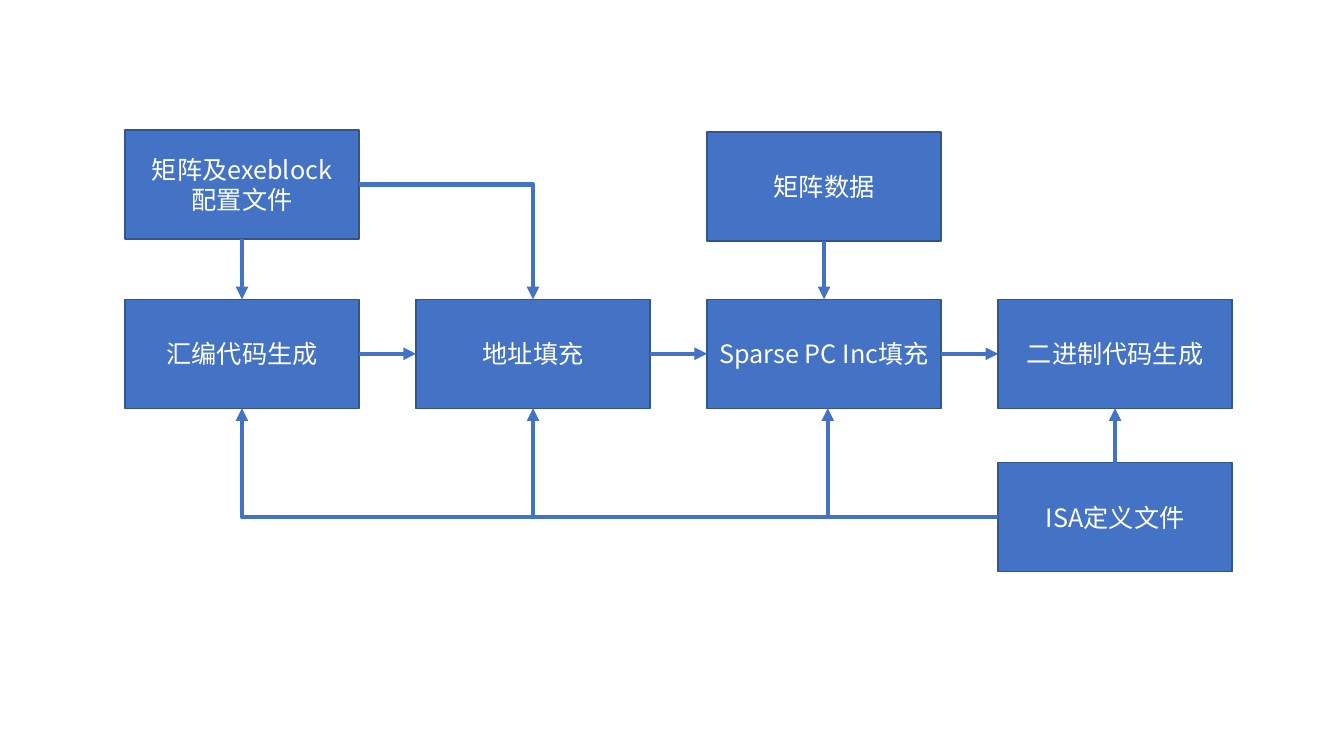
"""Builds the flow diagram of the code generation steps."""
from lxml import etree
from pptx import Presentation
from pptx import util as u
from pptx.dml.color import RGBColor
from pptx.enum import shapes, text
from pptx.oxml.ns import qn

COLOURS = {"box": "4472C4", "border": "325491", "text": "FFFFFF"}
FONT = "Noto Sans CJK SC"
WIDTH, HEIGHT = 2.32, 1.08
FIRST_LEFT, LAST_LEFT = 1.24, 9.9
PITCH = (LAST_LEFT - FIRST_LEFT) / 3
STEP_TOP, CONFIG_TOP, DATA_TOP, ISA_TOP = 2.97, 1.29, 1.31, 4.59
STEP_MIDDLE, STEP_BOTTOM = STEP_TOP + HEIGHT / 2, STEP_TOP + HEIGHT
ISA_MIDDLE = ISA_TOP + HEIGHT / 2
SPARSE_ISA_X = 8.21

BOXES = [
    (0, STEP_TOP, ["汇编代码生成"]),
    (1, STEP_TOP, ["地址填充"]),
    (2, STEP_TOP, ["Sparse PC Inc填充"]),
    (3, STEP_TOP, ["二进制代码生成"]),
    (0, CONFIG_TOP, ["矩阵及exeblock", "配置文件"]),
    (2, DATA_TOP, ["矩阵数据"]),
    (3, ISA_TOP, ["ISA定义文件"]),
]


def left(column):
    return FIRST_LEFT + column * PITCH


def right(column):
    return left(column) + WIDTH


def center(column):
    return left(column) + WIDTH / 2


STRAIGHT_ARROWS = [
    *[((right(i), STEP_MIDDLE), (left(i + 1), STEP_MIDDLE)) for i in range(3)],
    ((center(0), CONFIG_TOP + HEIGHT), (center(0), STEP_TOP)),
    ((center(2), DATA_TOP + HEIGHT), (center(2), STEP_TOP)),
    ((center(3), ISA_TOP), (center(3), STEP_BOTTOM)),
    ((center(1), ISA_MIDDLE), (center(1), STEP_BOTTOM)),
    ((SPARSE_ISA_X, ISA_MIDDLE), (SPARSE_ISA_X, STEP_BOTTOM)),
]
BENT_ARROWS = [
    ((right(0), CONFIG_TOP + HEIGHT / 2), (center(1), STEP_TOP)),
    ((left(3), ISA_MIDDLE), (center(0), STEP_BOTTOM)),
]


def colour(name):
    return RGBColor.from_string(COLOURS[name])


def add_box(slide, column, top, lines):
    shape = slide.shapes.add_shape(
        shapes.MSO_SHAPE.RECTANGLE,
        *map(u.Inches, (left(column), top, WIDTH, HEIGHT)))
    shape.shadow.inherit = False
    shape.fill.solid()
    shape.fill.fore_color.rgb = colour("box")
    shape.line.color.rgb = colour("border")
    shape.line.width = u.Pt(1)
    frame = shape.text_frame
    frame.word_wrap = True
    frame.vertical_anchor = text.MSO_ANCHOR.MIDDLE
    paragraph = frame.paragraphs[0]
    paragraph.alignment = text.PP_ALIGN.CENTER
    for index, line in enumerate(lines):
        if index:
            paragraph.add_line_break()
        run = paragraph.add_run()
        run.text = line
        run.font.size = u.Pt(18)
        run.font.name = FONT
        run.font.color.rgb = colour("text")
        east_asian = etree.SubElement(run.font._element, qn("a:ea"))
        east_asian.set("typeface", FONT)


def add_arrow(slide, start, end, bent=False):
    kind = shapes.MSO_CONNECTOR.ELBOW if bent else shapes.MSO_CONNECTOR.STRAIGHT
    connector = slide.shapes.add_connector(kind, *map(u.Inches, start + end))
    connector.line.color.rgb = colour("box")
    connector.line.width = u.Pt(3)
    properties = connector._element.spPr
    if bent:
        properties.find(qn("a:prstGeom")).set("prst", "bentConnector2")
    head = etree.SubElement(properties.find(qn("a:ln")), qn("a:tailEnd"))
    head.set("type", "triangle")
    etree.SubElement(properties, qn("a:effectLst"))


presentation = Presentation()
presentation.slide_width = u.Inches(13.33)
presentation.slide_height = u.Inches(7.5)
slide = presentation.slides.add_slide(presentation.slide_layouts[6])
for box in BOXES:
    add_box(slide, *box)
for arrow in STRAIGHT_ARROWS:
    add_arrow(slide, *arrow)
for arrow in BENT_ARROWS:
    add_arrow(slide, *arrow, bent=True)
presentation.save("out.pptx")
